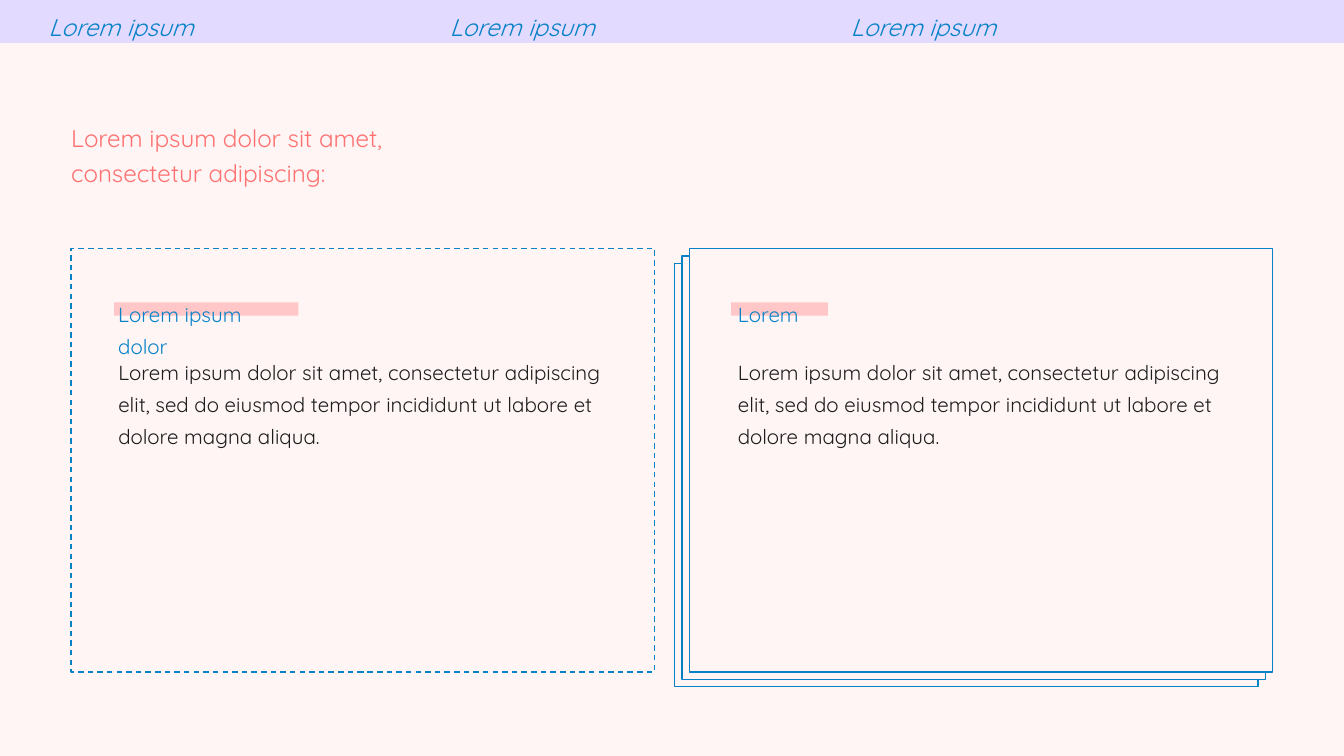
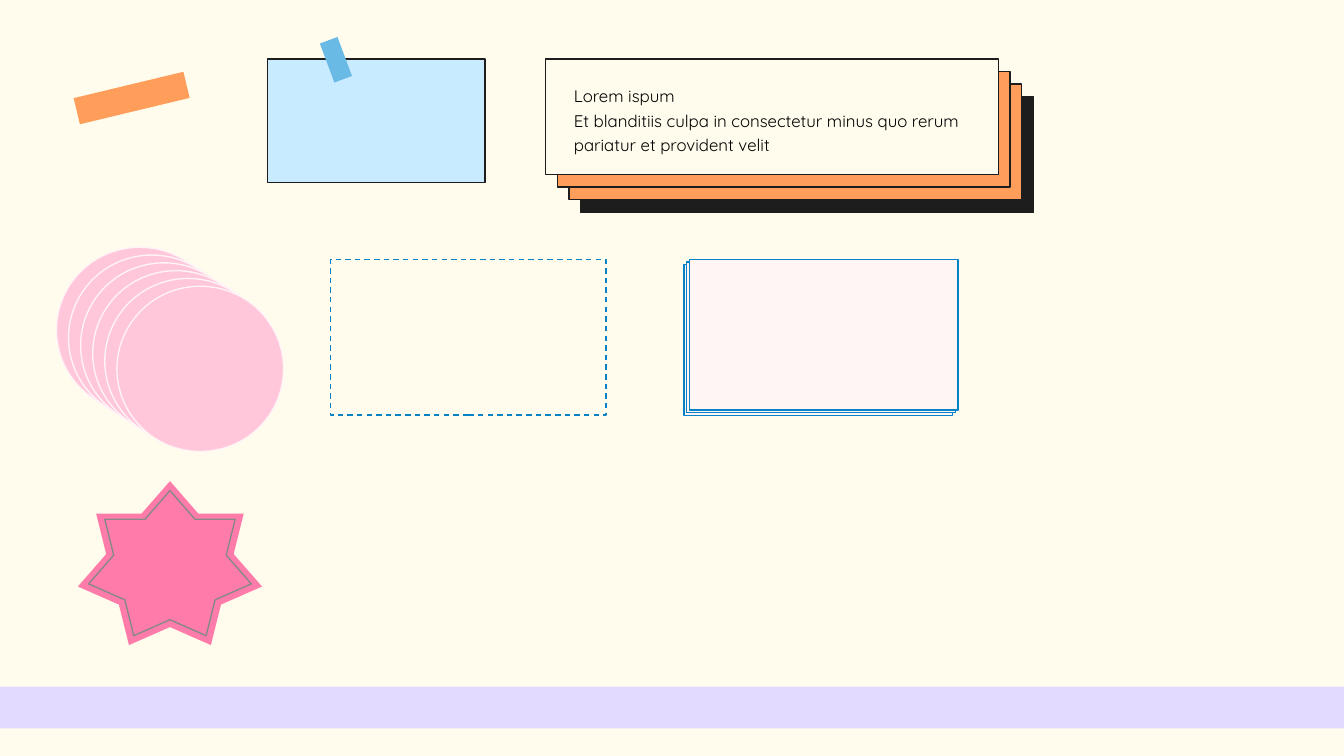
from pptx import Presentation
from pptx.dml.color import RGBColor
from pptx.enum.dml import MSO_LINE
from pptx.enum.shapes import MSO_SHAPE
from pptx.enum.text import MSO_AUTO_SIZE, PP_ALIGN
from pptx.util import Inches, Pt

W, H = 10, 10 * 9 / 16
FONT = "Quicksand"
C = {
    "blush": "FFF5F5", "cream": "FFFCED", "lilac": "E2DAFF", "blue": "0882C7",
    "coral": "FF7272", "marker": "FFC7C7", "ink": "1D1D1D", "black": "000000",
    "orange": "FF9E5A", "sky": "C9EBFF", "tape": "69BAE5", "pink": "FFC7D9",
    "rim": "FFF3F8", "star": "FF7CAA", "grey": "888888",
}

NAV = ["Lorem ipsum"] * 3
NAV_LEFT, NAV_STEP = 0.36, 2.985
HEADING = "Lorem ipsum dolor sit amet, consectetur adipiscing:"
BODY = ("Lorem ipsum dolor sit amet, consectetur adipiscing elit, "
        "sed do eiusmod tempor incididunt ut labore et dolore magna aliqua.")
# label, text left, label width, marker left, marker width
CARDS = [
    ("Lorem ipsum dolor", 0.88, 1.3, 0.85, 1.37),
    ("Lorem", 5.49, 3.62, 5.44, 0.72),
]
NOTE = ["Lorem ispum",
        "Et blanditiis culpa in consectetur minus quo rerum "
        "pariatur et provident velit"]


def rgb(name):
    return RGBColor.from_string(C[name])


def shape(parts, box, fill=None, line=None, kind=MSO_SHAPE.RECTANGLE, dash=False, turn=0):
    sp = parts.add_shape(kind, *map(Inches, box))
    sp.shadow.inherit = False
    sp.rotation = turn
    if fill:
        sp.fill.solid()
        sp.fill.fore_color.rgb = rgb(fill)
    else:
        sp.fill.background()
    if line:
        sp.line.color.rgb = rgb(line)
        sp.line.width = Pt(0.75)
        if dash:
            sp.line.dash_style = MSO_LINE.DASH
    else:
        sp.line.fill.background()
    return sp


def stack(parts, back, front, size, fills, line, kind=MSO_SHAPE.RECTANGLE):
    """Draw evenly offset copies from back to front, one per fill."""
    for i, fill in enumerate(fills):
        t = i / (len(fills) - 1)
        corner = [b + (f - b) * t for b, f in zip(back, front)]
        shape(parts, (*corner, *size), fill, line, kind)


def text(s, box, paragraphs, size, color, spacing=1.2, italic=False):
    tf = s.shapes.add_textbox(*map(Inches, box)).text_frame
    tf.word_wrap = True
    tf.auto_size = MSO_AUTO_SIZE.SHAPE_TO_FIT_TEXT
    tf.margin_left = tf.margin_right = tf.margin_top = tf.margin_bottom = 0
    for i, words in enumerate(paragraphs):
        p = tf.add_paragraph() if i else tf.paragraphs[0]
        p.alignment = PP_ALIGN.LEFT
        p.line_spacing = spacing
        r = p.add_run()
        r.text = words
        r.font.name, r.font.size = FONT, Pt(size)
        r.font.italic = italic
        r.font.color.rgb = rgb(color)


def new_slide(prs, background):
    s = prs.slides.add_slide(prs.slide_layouts[6])
    s.background.fill.solid()
    s.background.fill.fore_color.rgb = rgb(background)
    return s


def band(s, top, height):
    shape(s.shapes, (0, top, W, height), "lilac")


def cards_slide(prs):
    s = new_slide(prs, "blush")
    card = (4.34, 3.15)
    shape(s.shapes, (0.53, 1.85, *card), line="blue", dash=True)
    stack(s.shapes, (5.02, 1.96), (5.13, 1.85), card, ["blush"] * 3, "blue")
    for _, _, _, left, width in CARDS:
        shape(s.shapes, (left, 2.25, width, 0.1), "marker")
    band(s, 0, 0.32)
    for i, item in enumerate(NAV):
        text(s, (NAV_LEFT + i * NAV_STEP, 0.05, 1.48, 0.22), [item], 13, "blue", italic=True)
    for label, left, width, _, _ in CARDS:
        text(s, (left, 2.62, 3.62, 1.15), [BODY], 11, "ink", 1.3)
        text(s, (left, 2.19, width, 0.19), [label], 11, "blue", 1.3)
    text(s, (0.53, 0.87, 2.93, 0.48), [HEADING], 13, "coral")


def elements_slide(prs):
    s = new_slide(prs, "cream")
    shape(s.shapes, (0.56, 0.63, 0.84, 0.2), "orange", turn=346.5)
    shape(s.shapes, (1.99, 0.44, 1.62, 0.92), "sky", "ink")
    shape(s.shapes, (2.43, 0.29, 0.14, 0.31), "tape", turn=339.6)
    stack(s.shapes, (4.32, 0.72), (4.06, 0.44), (3.37, 0.86),
          ["ink", "orange", "orange", "cream"], "ink")
    text(s, (4.27, 0.61, 2.99, 0.88), NOTE, 9, "black")
    band(s, 5.11, 0.31)

    circles = s.shapes.add_group_shape().shapes
    stack(circles, (0.42, 1.84), (0.87, 2.13), (1.24, 1.23),
          ["pink"] * 6, "rim", MSO_SHAPE.OVAL)

    shape(s.shapes, (2.46, 1.93, 2.05, 1.16), line="blue", dash=True)
    sheets = s.shapes.add_group_shape().shapes
    stack(sheets, (5.09, 1.97), (5.13, 1.93), (2, 1.12), ["blush"] * 3, "blue")

    badge = s.shapes.add_group_shape().shapes
    for box, line in [((0.58, 3.58, 1.37, 1.22), None), ((0.66, 3.65, 1.21, 1.08), "grey")]:
        shape(badge, box, "star", line, MSO_SHAPE.STAR_7_POINT)


def main():
    prs = Presentation()
    prs.slide_width, prs.slide_height = Inches(W), Inches(H)
    cards_slide(prs)
    elements_slide(prs)
    prs.save("out.pptx")


if __name__ == "__main__":
    main()
